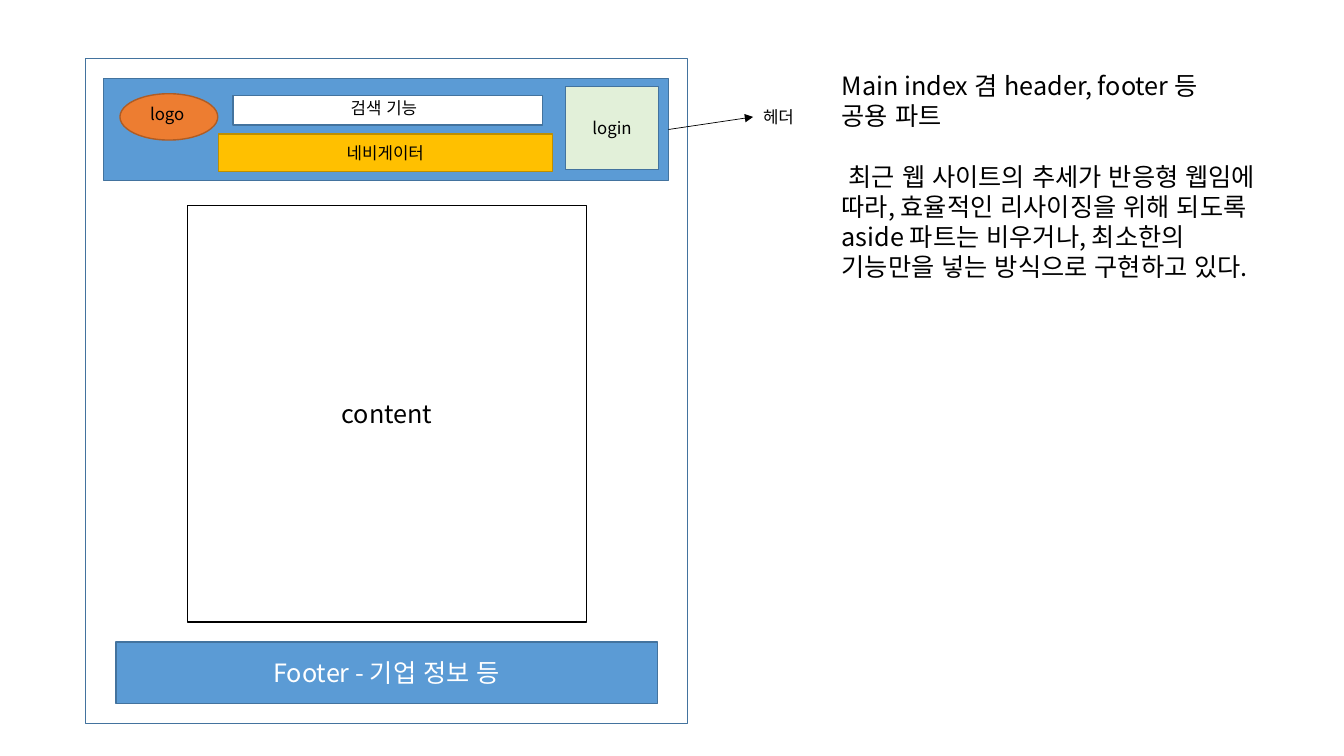
"""Build the wireframe slide of a shared page layout: header, content and footer."""
from lxml.etree import SubElement
from pptx import Presentation
from pptx.dml.color import RGBColor
from pptx.enum.lang import MSO_LANGUAGE_ID
from pptx.enum.shapes import MSO_CONNECTOR, MSO_SHAPE
from pptx.enum.text import MSO_ANCHOR, MSO_AUTO_SIZE, PP_ALIGN
from pptx.oxml.ns import qn
from pptx.util import Inches, Pt

FONT = "Noto Sans CJK KR"
HUES = {
    "white": "FFFFFF", "black": "000000", "blue": "5B9BD5", "navy": "43739E",
    "orange": "ED7D31", "rust": "AF5C24", "green": "E2F0D9",
    "gold": "FFC000", "brown": "BD8E00",
}


def hue(name):
    return RGBColor.from_string(HUES[name])


def write(frame, text, size=12, color="black", align=PP_ALIGN.LEFT,
          anchor=MSO_ANCHOR.TOP, wrap=True, grow=False, gaps=()):
    frame.word_wrap = wrap
    frame.vertical_anchor = anchor
    if grow:
        frame.auto_size = MSO_AUTO_SIZE.SHAPE_TO_FIT_TEXT
    for i, line in enumerate(text.split("\n")):
        para = frame.add_paragraph() if i else frame.paragraphs[0]
        para.alignment = align
        if i in gaps:
            para.space_before = Pt(21.5)
        run = para.add_run()
        run.text = line
        run.font.size = Pt(size)
        run.font.name = FONT
        run.font.language_id = MSO_LANGUAGE_ID.KOREAN
        run.font.color.rgb = hue(color)
        SubElement(run.font._element, qn("a:ea"), typeface=FONT)


deck = Presentation()
deck.slide_width, deck.slide_height = Inches(13.33), Inches(7.5)
slide = deck.slides.add_slide(deck.slide_layouts[6])
shapes = slide.shapes

RECT, OVAL = MSO_SHAPE.RECTANGLE, MSO_SHAPE.OVAL
boxes = [
    ("page", RECT, (0.85, 0.58, 5.97, 6.6), "white", "navy", None),
    ("header", RECT, (1.03, 0.78, 5.6, 1.01), "blue", "navy", None),
    ("search", RECT, (2.31, 0.95, 3.07, 0.29), "white", "navy", None),
    ("logo", OVAL, (1.19, 0.93, 0.97, 0.46), "orange", "rust", None),
    ("login", RECT, (5.61, 0.86, 0.92, 0.82), "green", "navy",
     ("login", 12, "black")),
    ("menu", RECT, (2.17, 1.33, 3.31, 0.37), "gold", "brown", None),
    ("content", RECT, (1.86, 2.04, 3.96, 4.13), "white", "black",
     ("content", 18, "black")),
    ("footer", RECT, (1.15, 6.37, 5.37, 0.61), "blue", "navy",
     ("Footer - 기업 정보 등", 18, "white")),
]
parts = {}
for name, kind, place, fill, edge, label in boxes:
    box = shapes.add_shape(kind, *map(Inches, place))
    box.shadow.inherit = False
    box.fill.solid()
    box.fill.fore_color.rgb = hue(fill)
    box.line.color.rgb = hue(edge)
    box.line.width = Pt(1)
    if label:
        text, size, color = label
        write(box.text_frame, text, size=size, color=color,
              align=PP_ALIGN.CENTER, anchor=MSO_ANCHOR.MIDDLE)
    parts[name] = box

story = (
    "Main index 겸 header, footer 등\n"
    "공용 파트\n"
    " 최근 웹 사이트의 추세가 반응형 웹임에 따라, 효율적인 리사이징을 위해 되도록 "
    "aside 파트는 비우거나, 최소한의 기능만을 넣는 방식으로 구현하고 있다."
)
labels = [
    ("callout", (7.47, 1.01, 0.77, 0.3), "헤더", {}),
    ("search label", (3.38, 0.92, 0.92, 0.3), "검색 기능", {"wrap": False}),
    ("logo label", (1.39, 0.98, 0.58, 0.3), "logo", {"wrap": False}),
    ("menu label", (3.34, 1.37, 0.99, 0.3), "네비게이터", {"wrap": False}),
    ("story", (8.25, 0.65, 4.36, 2.52), story, {"size": 18, "gaps": (2,)}),
]
for name, place, text, style in labels:
    label = shapes.add_textbox(*map(Inches, place))
    write(label.text_frame, text, grow=True, **style)
    parts[name] = label

arrow = shapes.add_connector(MSO_CONNECTOR.STRAIGHT, Inches(6.63), Inches(1.29),
                             Inches(7.47), Inches(1.16))
arrow.begin_connect(parts["header"], 3)
arrow.end_connect(parts["callout"], 1)
arrow.line.color.rgb = hue("black")
arrow.line.width = Pt(0.5)
SubElement(arrow.line._get_or_add_ln(), qn("a:tailEnd"), type="triangle")
SubElement(arrow._element.spPr, qn("a:effectLst"))

deck.save("out.pptx")
